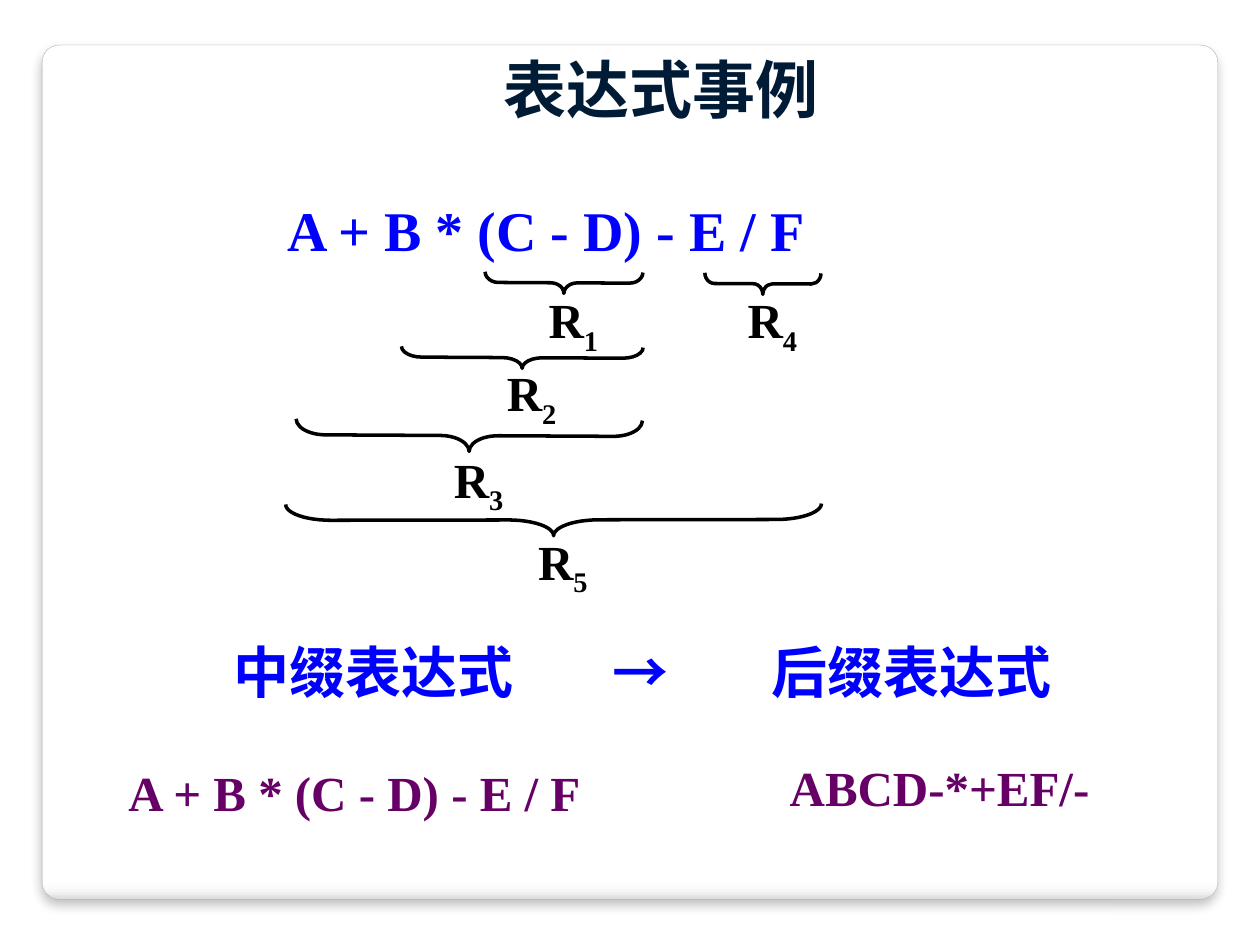
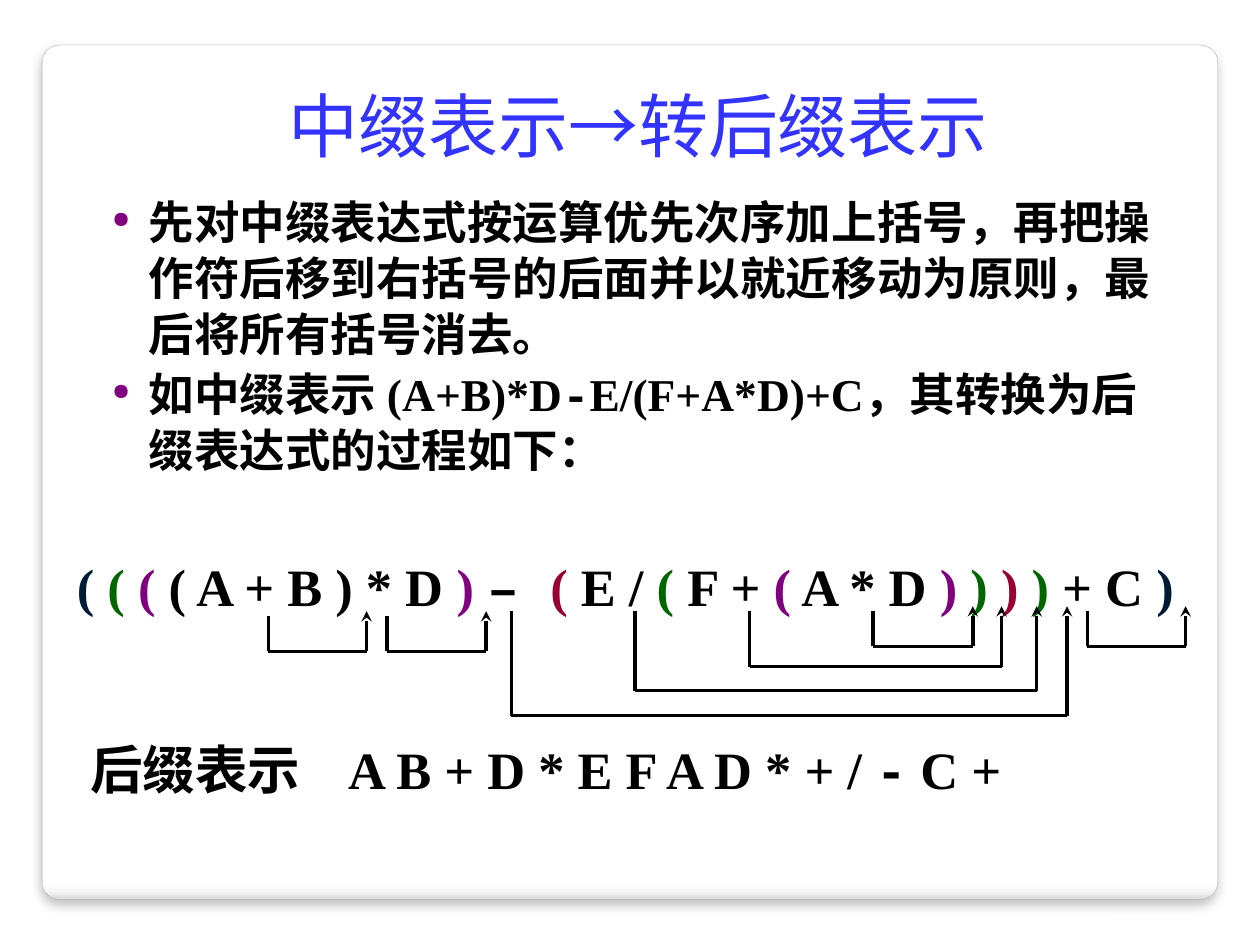
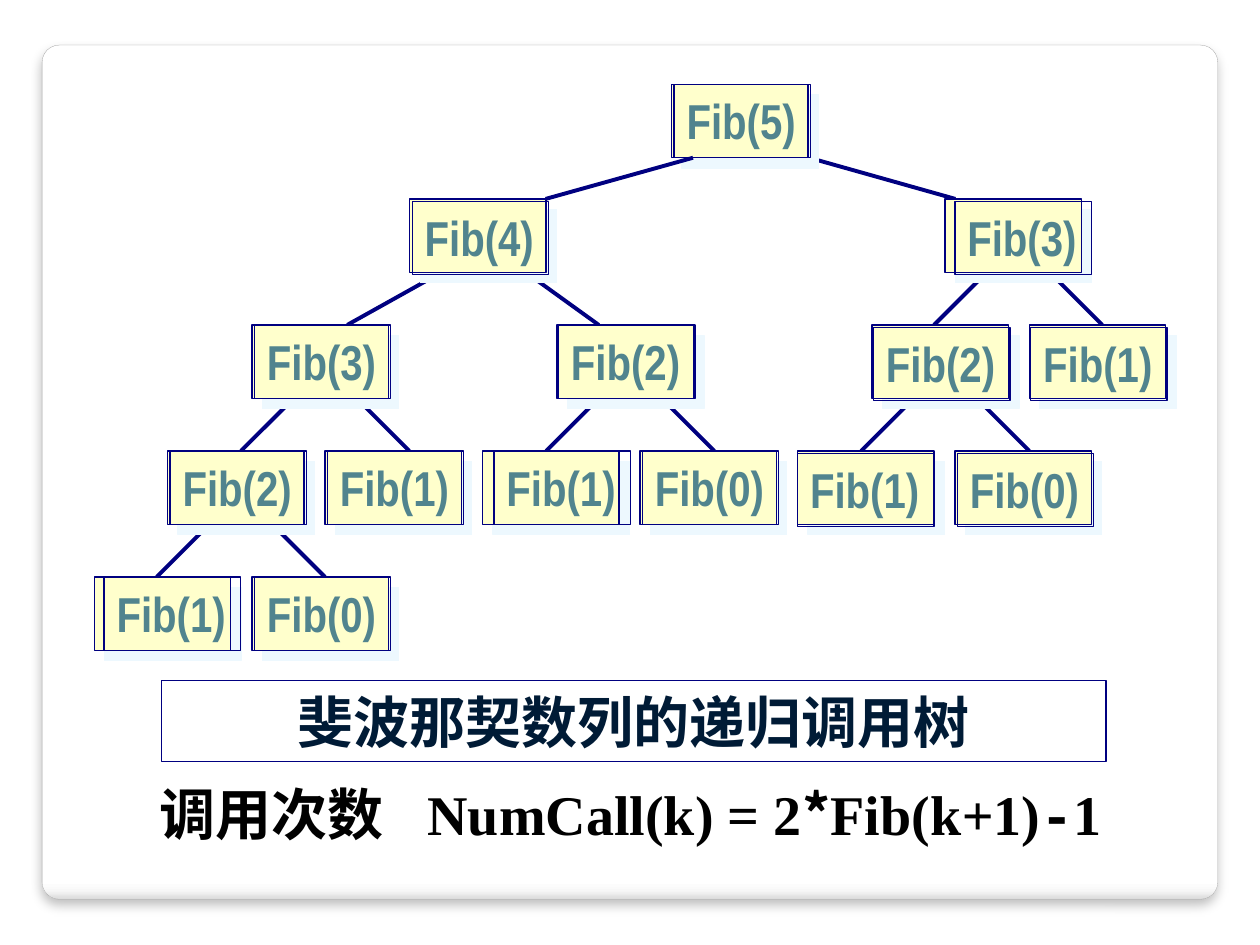
import lxml.etree
import pptx
import pptx.dml.color
import pptx.enum.shapes
import pptx.enum.text
import pptx.oxml.ns
import pptx.util

Cm = pptx.util.Cm
Pt = pptx.util.Pt
SHAPE = pptx.enum.shapes.MSO_SHAPE
LINE = pptx.enum.shapes.MSO_CONNECTOR.STRAIGHT
MID = pptx.enum.text.MSO_ANCHOR.MIDDLE
LOW = pptx.enum.text.MSO_ANCHOR.BOTTOM
CENTER = pptx.enum.text.PP_ALIGN.CENTER

ROMAN, HAN, MONO = "Times New Roman", "Noto Sans CJK SC", "Courier New"
SANS, SLIM = "DejaVu Sans", "Arial Narrow"
INK, BLACK, BLUE, NAVY = "001B36", "000000", "0000FF", "000080"
GREEN, PURPLE, RED, PLUM = "006600", "800080", "990033", "660066"
SKY, CREAM, TEAL, ICE = "3333FF", "FFFFCC", "51848E", "EDF8FE"

PANEL = (0.85, 0.91, 23.7, 17.22)
FADE = [(0, "FFFFFF"), (98, "FFFFFF"), (99, "F7F7F7"), (100, "DADADA")]


def look(size, color, name=ROMAN, bold=True):
    return {"size": size, "color": color, "name": name, "bold": bold}


INFIX = "A + B * (C - D) - E / F"
HEAD = ((4.01, 0.84, 18.62, 1.9), look(36, INK, HAN), [("表达式事例", {})])
TERMS = [
    ((5.54, 3.81, 11, 1.52), look(32, BLUE), INFIX),
    ((2.34, 15.24, 9.68, 1.37), look(28, PLUM), INFIX),
    ((15.67, 15.14, 6.55, 1.37), look(28, PLUM), "ABCD-*+EF/-"),
]
FORMS = ((4.45, 12.72, 17.48, 1.6), look(32, BLUE), [("中缀表达式\t→\t后缀表达式", {})])
BRACES = [
    ("1", 11.37, 5.7, 3.18, 0.43, 0.63, 270.3, 5.72),
    ("4", 15.38, 5.72, 2.34, 0.43, 0.46, 270.3, 5.72),
    ("2", 10.53, 7.21, 4.87, 0.43, 0.96, 270.3, 7.19),
    ("3", 9.46, 8.78, 6.98, 0.64, 0.92, 270.3, 8.94),
    ("5", 11.16, 10.48, 10.8, 0.64, 1.43, 269.9, 10.59),
]

TITLE = ((1.5, 1.45, 22.73, 2.03), look(40, SKY, SANS, False),
         [("中缀表示", {}), ("→", {"name": MONO}), ("转后缀表示", {"name": SANS})])
BODY = (1.75, 3.63, 22.35, 7.21)
POINTS = [
    [("先对中缀表达式按运算优先次序加上括号，再把操作符后移到右括号的后面并以就近移动为原则，"
      "最后将所有括号消去。", {})],
    [("如中缀表示 ", {}), ("(A+B)*D", {"name": ROMAN}), ("-", {"name": MONO}),
     ("E/(F+A*D)+C", {"name": ROMAN}), ("，其转换为后缀表达式的过程如下：", {"name": HAN})],
]
NESTED = ((1.3, 11.05, 22.91, 1.52), look(30, INK), [
    ("( ", {}), ("( ", {"color": GREEN}), ("(", {"color": PURPLE}),
    (" ( A + B ) * D ", {"color": BLACK}), (") ", {"color": PURPLE}),
    ("– ", {"name": MONO, "color": BLACK}), ("(", {"name": ROMAN, "color": RED}),
    (" E / ", {"color": BLACK}), ("(", {"color": GREEN}), (" F + ", {"color": BLACK}),
    ("(", {"color": PURPLE}), (" A * D ", {"color": BLACK}), (") ", {"color": PURPLE}),
    (") ", {"color": GREEN}), (") ", {"color": RED}), (")", {"color": GREEN}),
    (" + C ", {"color": BLACK}), (")", {"color": INK})])
MOVES = [
    (5.41, 7.39, 13.13, 12.32), (7.8, 9.8, 13.13, 12.32), (17.6, 19.61, 13.03, 12.22),
    (15.11, 20.19, 13.44, 12.22), (12.8, 20.9, 13.92, 12.22),
    (21.92, 23.9, 13.03, 12.22), (10.31, 21.51, 14.43, 12.22),
]
POSTFIX = ((1.57, 14.73, 18.92, 1.52), look(30, BLACK),
           [("后缀表示\tA B + D * E F A D * + / ", {}), ("-", {"name": MONO}),
            (" C +", {"name": ROMAN})])

ROWS = [1.7, 4.01, 6.55, 9.09, 11.63]
BOX = (2.75, 1.48)
FORK = [(0.84, -1.06), (2.11, 1.06)]
WIDE = [(0.64, -1.9), (2.34, 1.47)]
TOP = [(0.43, -2.97), (2.77, 2.95)]
NODES = [
    (5, 0, 13.54, 0.05, 0, TOP),
    (4, 1, 8.26, 0.05, 0.05, WIDE), (3, 1, 19.05, 0.2, 0.05, FORK),
    (3, 2, 5.08, 0.05, 0, FORK), (2, 2, 11.23, 0.03, 0, FORK),
    (2, 2, 17.58, 0.03, 0.05, FORK), (1, 2, 20.75, 0.03, 0.05, []),
    (2, 3, 3.38, 0.05, 0, FORK), (1, 3, 6.55, 0.05, 0, []),
    (1, 3, 9.73, 0.23, 0, []), (0, 3, 12.9, 0.05, 0, []),
    (1, 3, 16.08, 0, 0.05, []), (0, 3, 19.25, 0.05, 0.05, []),
    (1, 4, 1.9, 0.2, 0, []), (0, 4, 5.08, 0.05, 0, []),
]
NAME = ((3.25, 13.72, 19.05, 1.63), look(32, INK, HAN), [("斐波那契数列的递归调用树", {})])
COUNT = ((2.97, 15.44, 20.93, 1.78), look(32, BLACK), [
    ("调用次数", {}), ("\t", {"size": 36, "italic": True}),
    ("NumCall(k) = 2", {"size": 32, "italic": False}), ("*", {"name": HAN}),
    ("Fib(k", {"name": ROMAN}), ("+", {"italic": True}), ("1)", {"italic": False}),
    ("-", {"name": MONO}), ("1", {"name": ROMAN})])


def rgb(code):
    return pptx.dml.color.RGBColor.from_string(code)


def sub(node, tag, **marks):
    return lxml.etree.SubElement(node, pptx.oxml.ns.qn(tag), marks)


def style(thing, values):
    for key, value in values.items():
        setattr(thing, key, value)


def write(para, runs, base):
    state = dict(base)
    for text, change in runs:
        state.update(change)
        run = para.add_run()
        run.text = text
        plain = {k: v for k, v in state.items() if k not in ("size", "color", "drop")}
        style(run.font, {**plain, "size": Pt(state["size"])})
        run.font.color.rgb = rgb(state["color"])
        mark = run._r.get_or_add_rPr()
        sub(mark, "a:ea", typeface=HAN)
        if "drop" in state:
            mark.set("baseline", "-25000")


def fill_text(shape, base, paras, wrap=True, anchor=None, tabs=(), **form):
    frame = shape.text_frame
    style(frame, {"word_wrap": wrap,
                  "vertical_anchor": anchor or pptx.enum.text.MSO_ANCHOR.TOP})
    for i, runs in enumerate(paras):
        para = frame.add_paragraph() if i else frame.paragraphs[0]
        style(para, form)
        write(para, runs, base)
        if tabs:
            stops = sub(para._p.get_or_add_pPr(), "a:tabLst")
            for stop in tabs:
                sub(stops, "a:tab", pos=str(Cm(stop)), algn="l")
    return frame


def put_text(slide, spot, base, runs, **form):
    return fill_text(slide.shapes.add_textbox(*map(Cm, spot)), base, [runs], **form)


def put_shape(slide, kind, spot, line, width, fill=None, shade=None):
    shape = slide.shapes.add_shape(kind, *map(Cm, spot))
    shape.line.color.rgb = rgb(line)
    shape.line.width = Pt(width)
    if fill:
        shape.fill.solid()
        shape.fill.fore_color.rgb = rgb(fill)
    else:
        shape.fill.background()
    shape.shadow.inherit = False
    if shade:
        color, alpha, blur, dist, turn = shade
        glow = sub(shape._element.spPr.find(pptx.oxml.ns.qn("a:effectLst")), "a:outerShdw",
                   blurRad=str(Pt(blur)), dist=str(Pt(dist)), dir=str(turn * 60000),
                   algn="ctr", rotWithShape="0")
        sub(sub(glow, "a:srgbClr", val=color), "a:alpha", val=str(alpha * 1000))
    return shape


def put_line(slide, ends, color, width, tip=False):
    line = slide.shapes.add_connector(LINE, *map(Cm, ends))
    line.line.color.rgb = rgb(color)
    line.line.width = Pt(width)
    if tip:
        sub(line.line._get_or_add_ln(), "a:tailEnd", type="stealth")
    sub(line._element.spPr, "a:effectLst")


def new_slide(deck):
    slide = deck.slides.add_slide(deck.slide_layouts[6])
    panel = put_shape(slide, SHAPE.ROUNDED_RECTANGLE, PANEL, "A4A4A4", 0.16,
                      shade=(BLACK, 25, 6, 4, 90))
    panel.adjustments[0] = 0.02
    panel.fill.gradient()
    panel.fill.gradient_angle = 270
    stops = panel._element.spPr.find(".//" + pptx.oxml.ns.qn("a:gsLst"))
    for stop in list(stops):
        stops.remove(stop)
    for place, color in FADE:
        sub(sub(stops, "a:gs", pos=str(place * 1000)), "a:srgbClr", val=color)
    return slide


def draw_terms(slide):
    for spot, base, text in TERMS:
        put_text(slide, spot, base, [(text, {})], wrap=False)
    for sign, x, y, long, thin, bend, turn, top in BRACES:
        spot = (x - thin / 2, y - long / 2, thin, long)
        brace = put_shape(slide, SHAPE.LEFT_BRACE, spot, BLACK, 2)
        brace.adjustments[0] = bend
        brace.rotation = turn
        put_text(slide, (x - 0.56, top, 1.73, 1.42), look(28, BLACK),
                 [("R", {}), (sign, {"drop": True})], space_before=Pt(4))
    put_text(slide, *FORMS, tabs=(7.65, 10.85))
    put_text(slide, *HEAD, anchor=MID, alignment=CENTER)


def draw_moves(slide):
    put_text(slide, *TITLE, anchor=LOW, alignment=CENTER)
    body = slide.shapes.add_textbox(*map(Cm, BODY))
    frame = fill_text(body, look(26, BLACK, HAN), POINTS,
                      space_before=Pt(2.5), line_spacing=Pt(32))
    style(frame, {"margin_left": Cm(0.51), "margin_top": Cm(0.25)})
    for para in frame.paragraphs:
        form = para._p.get_or_add_pPr()
        form.set("marL", str(Cm(0.74)))
        form.set("indent", str(-Cm(0.74)))
        sub(sub(form, "a:buClr"), "a:srgbClr", val=PURPLE)
        sub(form, "a:buSzPct", val="50000")
        sub(form, "a:buChar", char="●")
    put_text(slide, *NESTED, wrap=False)
    for left, right, base, tip in MOVES:
        put_line(slide, (right, base, right, tip), BLACK, 2, True)
        put_line(slide, (right, base, left, base), BLACK, 1.75)
        put_line(slide, (left, base, left, tip + 0.1), BLACK, 2)
    put_text(slide, *POSTFIX, tabs=(5.2,))


def draw_tree(slide):
    put_text(slide, *COUNT, tabs=(5.4,))
    spot, base, runs = NAME
    fill_text(put_shape(slide, SHAPE.RECTANGLE, spot, NAVY, 0.75), base, [runs],
              anchor=MID, alignment=CENTER)
    links = [(x + start, ROWS[row] + BOX[1], x + start + run, ROWS[row + 1])
             for _, row, x, _, _, fork in NODES for start, run in fork]
    for ends in links[1:]:
        put_line(slide, ends, NAVY, 2.25)
    for _, row, x, *_ in NODES:
        put_shape(slide, SHAPE.RECTANGLE, (x, ROWS[row], *BOX), NAVY, 0.75, CREAM,
                  (ICE, 100, 0, 8.5, 45))
    put_line(slide, links[0], NAVY, 2.25)
    for k, row, x, right, down, _ in NODES:
        label = put_shape(slide, SHAPE.RECTANGLE, (x + right, ROWS[row] + down, *BOX),
                          NAVY, 0.75)
        fill_text(label, look(28, TEAL, SLIM), [[(f"Fib({k})", {})]], wrap=False,
                  alignment=pptx.enum.text.PP_ALIGN.LEFT)


def main():
    deck = pptx.Presentation()
    style(deck, {"slide_width": Cm(25.4), "slide_height": Cm(19.05)})
    for draw in (draw_terms, draw_moves, draw_tree):
        draw(new_slide(deck))
    deck.save("out.pptx")


if __name__ == "__main__":
    main()
